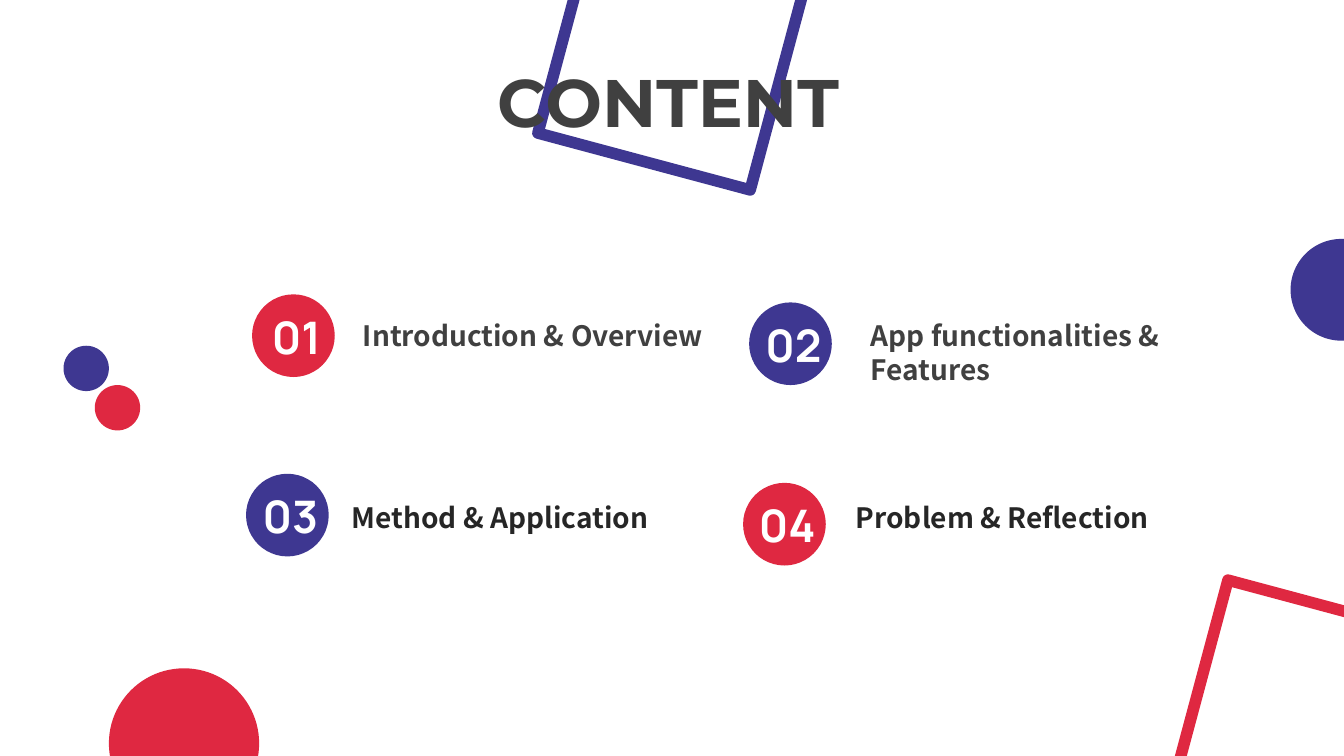
from pptx import Presentation
from pptx.dml.color import RGBColor
from pptx.enum.shapes import MSO_SHAPE
from pptx.enum.text import MSO_ANCHOR, MSO_AUTO_SIZE, PP_ALIGN
from pptx.util import Inches, Pt

COLORS = {"indigo": "3E3791", "red": "DF2841", "grey": "404040",
          "dark": "262626", "white": "FFFFFF"}

TITLE = "CONTENT"
TOPICS = [
    ("01", "Introduction & Overview", "red", "grey", (2.5, 2.92), (3.5, 3.11, 3.92, 0.43)),
    ("02", "App functionalities & Features", "indigo", "grey", (7.43, 3), (8.54, 3.11, 4.04, 0.77)),
    ("03", "Method & Application", "indigo", "dark", (2.44, 4.7), (3.39, 4.92, 3.51, 0.43)),
    ("04", "Problem & Reflection", "red", "dark", (7.37, 4.79), (8.39, 4.92, 3.9, 0.43)),
]
FRAMES = [(5.58, -0.54, "indigo"), (11.86, 6, "red")]
DOTS = [
    (0.63, 3.43, 0.45, "indigo"),
    (0.94, 3.82, 0.45, "red"),
    (1.08, 6.63, 1.49, "red"),
    (12.8, 2.37, 1.01, "indigo"),
]
FRAME_SIZE = 2.18
BADGE_SIZE = 0.82

TITLE_FONT = {"name": "Montserrat", "size": Pt(48), "bold": True}
NUMBER_FONT = {"name": "Manrope", "size": Pt(32), "bold": True}
TOPIC_FONT = {"name": "Noto Sans CJK JP", "size": Pt(20), "bold": True}


def rgb(name):
    return RGBColor.from_string(COLORS[name])


def add_frame(slide, x, y, color):
    sp = slide.shapes.add_shape(MSO_SHAPE.RECTANGLE, Inches(x), Inches(y),
                                Inches(FRAME_SIZE), Inches(FRAME_SIZE))
    sp.shadow.inherit = False
    sp.rotation = 15
    sp.fill.background()
    sp.line.color.rgb = rgb(color)
    sp.line.width = Pt(8.25)


def add_dot(slide, x, y, size, color):
    sp = slide.shapes.add_shape(MSO_SHAPE.OVAL, Inches(x), Inches(y),
                                Inches(size), Inches(size))
    sp.shadow.inherit = False
    sp.fill.solid()
    sp.fill.fore_color.rgb = rgb(color)
    sp.line.fill.background()


def set_text(sp, text, font, color, align=PP_ALIGN.LEFT, inset=None):
    tf = sp.text_frame
    tf.word_wrap = True
    tf.auto_size = MSO_AUTO_SIZE.NONE
    tf.vertical_anchor = MSO_ANCHOR.TOP
    if inset is not None:
        for side in ("left", "top", "right", "bottom"):
            setattr(tf, f"margin_{side}", Inches(inset))
    p = tf.paragraphs[0]
    p.alignment = align
    r = p.add_run()
    r.text = text
    for key, value in font.items():
        setattr(r.font, key, value)
    r.font.color.rgb = rgb(color)


def add_label(slide, box, *args, **kwargs):
    sp = slide.shapes.add_textbox(*map(Inches, box))
    set_text(sp, *args, **kwargs)


def main():
    prs = Presentation()
    prs.slide_width, prs.slide_height = Inches(13.33), Inches(7.5)
    slide = prs.slides.add_slide(prs.slide_layouts[5])

    for frame in FRAMES:
        add_frame(slide, *frame)
    for dot in DOTS:
        add_dot(slide, *dot)

    title = slide.shapes.title
    title.left, title.top, title.width, title.height = map(Inches, (4.83, 0.55, 3.9, 0.91))
    set_text(title, TITLE, TITLE_FONT, "grey", PP_ALIGN.JUSTIFY)
    title.element.getparent().append(title.element)

    for number, topic, badge_color, text_color, (x, y), box in TOPICS:
        add_dot(slide, x, y, BADGE_SIZE, badge_color)
        add_label(slide, (x - 0.01, y + 0.13, 0.9, 0.41), number, NUMBER_FONT,
                  "white", PP_ALIGN.CENTER, inset=0.02)
        add_label(slide, box, topic, TOPIC_FONT, text_color)

    prs.save("out.pptx")


if __name__ == "__main__":
    main()
